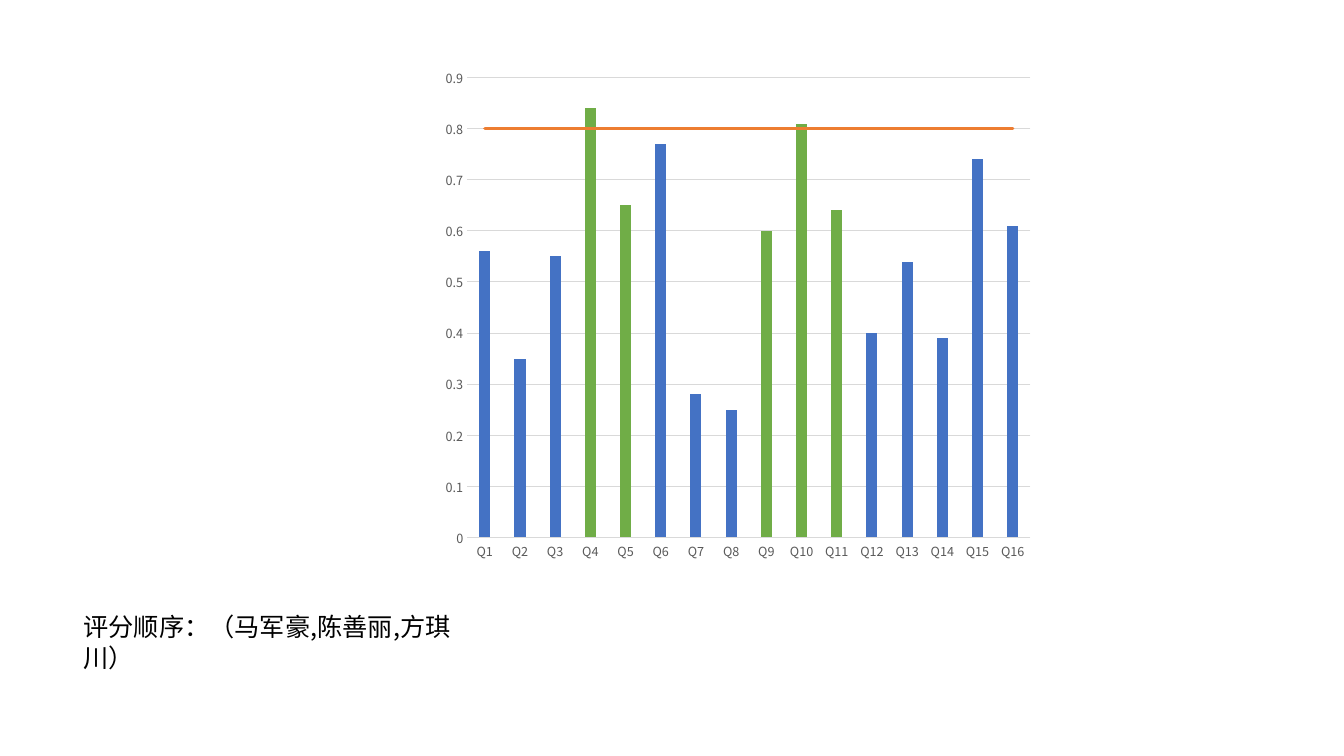
from lxml import etree
from pptx import Presentation
from pptx.chart.data import CategoryChartData
from pptx.dml.color import RGBColor
from pptx.enum.chart import XL_CHART_TYPE as ChartType, XL_TICK_MARK as TickMark
from pptx.enum.text import MSO_AUTO_SIZE as AutoSize
from pptx.oxml.ns import qn
from pptx.util import Inches, Pt

FONT = "Noto Sans CJK SC"
BLACK = RGBColor(0x00, 0x00, 0x00)
GRAY = RGBColor(0x59, 0x59, 0x59)
GRID = RGBColor(0xD9, 0xD9, 0xD9)
BLUE = RGBColor(0x44, 0x72, 0xC4)
GREEN = RGBColor(0x70, 0xAD, 0x47)
ORANGE = RGBColor(0xED, 0x7D, 0x31)

SCORES = [0.56, 0.35, 0.55, 0.84, 0.65, 0.77, 0.28, 0.25,
          0.6, 0.81, 0.64, 0.4, 0.54, 0.39, 0.74, 0.61]
GREEN_QUESTIONS = [4, 5, 9, 10, 11]
THRESHOLD = 0.8


def style_font(font, size, color):
    for name, value in {"name": FONT, "size": Pt(size)}.items():
        setattr(font, name, value)
    font.color.rgb = color


def style_line(line, width, color):
    line.width = Pt(width)
    line.color.rgb = color


deck = Presentation()
deck.slide_width, deck.slide_height = Inches(13.33), Inches(7.5)
page = deck.slides.add_slide(deck.slide_layouts[6])

# Caption
box = page.shapes.add_textbox(Inches(0.73), Inches(6.02), Inches(4.21), Inches(0.4))
frame = box.text_frame
for name, value in {"word_wrap": True, "auto_size": AutoSize.SHAPE_TO_FIT_TEXT}.items():
    setattr(frame, name, value)
span = frame.paragraphs[0].add_run()
span.text = "评分顺序：（马军豪,陈善丽,方琪川）"
style_font(span.font, 18, BLACK)
etree.SubElement(span.font._element, qn("a:ea"), typeface=FONT)

# Chart data
data = CategoryChartData()
data.categories = [f"Q{number}" for number in range(1, len(SCORES) + 1)]
data.add_series("Series 1", SCORES)
data.add_series("Series 2", [THRESHOLD] * len(SCORES))
chart = page.shapes.add_chart(
    ChartType.COLUMN_CLUSTERED,
    Inches(4.3), Inches(0.58), Inches(6.04), Inches(5.07), data).chart
chart.has_title = False
chart.has_legend = False
style_font(chart.font, 10, BLACK)

# Axes
for axis in (chart.category_axis, chart.value_axis):
    axis.major_tick_mark = axis.minor_tick_mark = TickMark.NONE
    style_font(axis.tick_labels.font, 9, GRAY)
style_line(chart.category_axis.format.line, 0.75, GRID)
value_axis = chart.value_axis
for name, value in {"minimum_scale": 0, "maximum_scale": 0.9, "major_unit": 0.1}.items():
    setattr(value_axis, name, value)
value_axis.format.line.fill.background()
style_line(value_axis.major_gridlines.format.line, 0.75, GRID)

# Score columns
plot = chart.plots[0]
for name, value in {"gap_width": 219, "overlap": -27, "vary_by_categories": False}.items():
    setattr(plot, name, value)
scores, threshold = plot.series
for target, color in [(scores, BLUE)] + [
        (scores.points[number - 1], GREEN) for number in GREEN_QUESTIONS]:
    target.format.fill.solid()
    target.format.fill.fore_color.rgb = color

# Threshold series moves from the columns to a line plot on the same axes
style_line(threshold.format.line, 2.25, ORANGE)
series = threshold.format.line._get_or_add_ln().getparent().getparent()
series.find(qn("c:spPr")).find(qn("a:ln")).set("cap", "rnd")
for flag in series.findall(qn("c:invertIfNegative")):
    series.remove(flag)
marker = etree.Element(qn("c:marker"))
etree.SubElement(marker, qn("c:symbol"), val="none")
series.find(qn("c:spPr")).addnext(marker)
etree.SubElement(series, qn("c:smooth"), val="0")

columns = plot._element
line_plot = etree.Element(qn("c:lineChart"))
etree.SubElement(line_plot, qn("c:grouping"), val="standard")
etree.SubElement(line_plot, qn("c:varyColors"), val="0")
line_plot.append(series)
etree.SubElement(line_plot, qn("c:marker"), val="1")
for axis_id in columns.findall(qn("c:axId")):
    etree.SubElement(line_plot, qn("c:axId"), val=axis_id.get("val"))
columns.addnext(line_plot)

deck.save("out.pptx")
